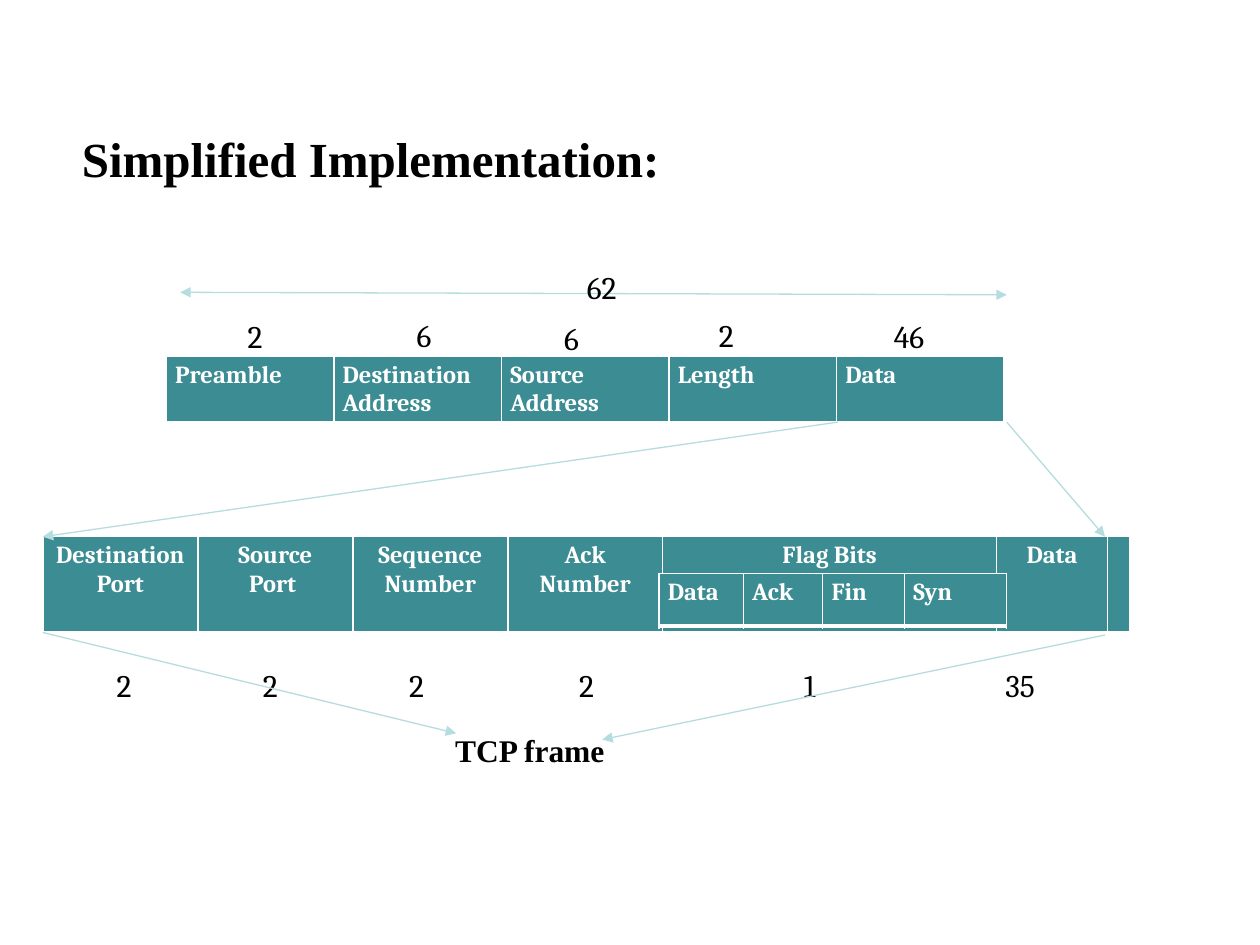
import pptx
import pptx.dml.color
import pptx.enum.shapes
import pptx.enum.text
import pptx.oxml
import pptx.oxml.ns
import pptx.util

EMU_PER_PX = 9144  # 100 px to the inch
CENTER = pptx.enum.text.PP_ALIGN.CENTER
LEFT = pptx.enum.text.PP_ALIGN.LEFT
AUTO = pptx.enum.text.MSO_AUTO_SIZE


def px(*values):
    return [pptx.util.Emu(v * EMU_PER_PX) for v in values]


def rgb(value):
    return pptx.dml.color.RGBColor.from_string(value)


def add_xml(parent, body, index=None):
    """Insert one a: element, last by default."""
    tag, rest = body.split(" ", 1)
    node = pptx.oxml.parse_xml(f"<a:{tag} {pptx.oxml.ns.nsdecls('a')} {rest}")
    parent.insert(len(parent) if index is None else index, node)


class Deck:
    TEAL, PALE, WHITE, BLACK = "3C8C93", "B6DCDF", "FFFFFF", "000000"
    HEADING = {"name": "Times New Roman", "size": pptx.util.Pt(28), "bold": True}
    CAPTION = {"name": "Times New Roman", "size": pptx.util.Pt(18), "bold": True}
    NUMBER = {"name": "Cambria", "size": pptx.util.Pt(18), "bold": False}
    CELL = {"name": "Cambria", "size": pptx.util.Pt(14), "bold": True}
    MARGINS = {"margin_left": 7, "margin_right": 7, "margin_top": 4, "margin_bottom": 4}
    BORDERS = {"lnL": 1, "lnR": 1, "lnT": 1, "lnB": 3}

    def __init__(self, width, height):
        self.prs = pptx.Presentation()
        self.prs.slide_width, self.prs.slide_height = px(width, height)
        self.slide = self.prs.slides.add_slide(self.prs.slide_layouts[5])

    def set_text(self, tf, text, font, color, align):
        tf.text = text
        for p in tf.paragraphs:
            p.alignment = align
            for r in p.runs:
                for key, value in font.items():
                    setattr(r.font, key, value)
                r.font.color.rgb = rgb(color)

    def title(self, text, *box):
        sp = self.slide.shapes.title
        sp.left, sp.top, sp.width, sp.height = px(*box)
        tf = sp.text_frame
        tf.auto_size = AUTO.NONE
        tf.vertical_anchor = pptx.enum.text.MSO_ANCHOR.TOP
        self.set_text(tf, text, self.HEADING, self.BLACK, LEFT)

    def label(self, text, x, y, w=89, font=NUMBER, align=CENTER):
        tf = self.slide.shapes.add_textbox(*px(x, y, w, 40)).text_frame
        tf.word_wrap = True
        tf.auto_size = AUTO.SHAPE_TO_FIT_TEXT
        self.set_text(tf, text, font, self.BLACK, align)

    def table(self, texts, widths, x, y, height, align=LEFT):
        box = px(x, y, sum(widths), height)
        table = self.slide.shapes.add_table(1, len(texts), *box).table
        for i, (text, width) in enumerate(zip(texts, widths)):
            table.columns[i].width = px(width)[0]
            cell = table.cell(0, i)
            for key, value in self.MARGINS.items():
                setattr(cell, key, px(value)[0])
            cell.fill.solid()
            cell.fill.fore_color.rgb = rgb(self.TEAL)
            self.set_text(cell.text_frame, text, self.CELL, self.WHITE, align)
            tc_pr = cell._tc.get_or_add_tcPr()
            for n, (side, pt) in enumerate(self.BORDERS.items()):
                add_xml(tc_pr, f'{side} w="{pt * 12700}"><a:solidFill><a:srgbClr '
                        f'val="{self.WHITE}"/></a:solidFill></a:{side}>', n)

    def arrow(self, start, end, ends=("tailEnd",)):
        line = self.slide.shapes.add_connector(
            pptx.enum.shapes.MSO_CONNECTOR.STRAIGHT, *px(*start, *end))
        line.line.color.rgb = rgb(self.PALE)
        line.line.width = pptx.util.Pt(0.75)
        sp_pr = line._element.spPr
        for name in ends:
            add_xml(sp_pr.get_or_add_ln(), f'{name} type="triangle"/>')
        add_xml(sp_pr, "effectLst />")


def main():
    deck = Deck(1000, 750)
    deck.title("Simplified Implementation:", 55, 97, 862, 109)

    # TCP frame, its flag bits, and the Ethernet frame
    deck.table(["Destination Port", "Source\nPort ", "Sequence Number", "Ack Number",
                "Flag Bits", "Data", ""],
               [123] * 4 + [265, 88, 18], 34, 426, 77, CENTER)
    deck.table(["Data", "Ack", "Fin", "Syn"], [67, 63, 65, 81], 523, 455, 42)
    deck.table(["Preamble", "Destination Address", "Source Address", "Length", "Data"],
               [133] * 5, 132, 283, 51)

    # The data field opens into the TCP frame
    deck.arrow((665, 335), (34, 426))
    deck.arrow((799, 335), (877, 426))

    # Field sizes
    for text, x, y in [("2", 158, 247), ("6", 292, 246), ("6", 409, 248),
                       ("2", 532, 246), ("46", 677, 247)]:
        deck.label(text, x, y)
    for text, x in [("2", 54), ("2", 170), ("2", 286), ("2", 421),
                    ("1", 598), ("35", 765)]:
        deck.label(text, x, 524)

    # Total size
    deck.arrow((143, 232), (799, 234), ("headEnd", "tailEnd"))
    deck.label("62", 456, 208, 108, align=LEFT)

    # Caption of the lower frame
    deck.label("TCP frame", 253, 575, 335, Deck.CAPTION)
    deck.arrow((34, 502), (362, 582))
    deck.arrow((877, 504), (478, 587))

    deck.prs.save("out.pptx")


if __name__ == "__main__":
    main()
